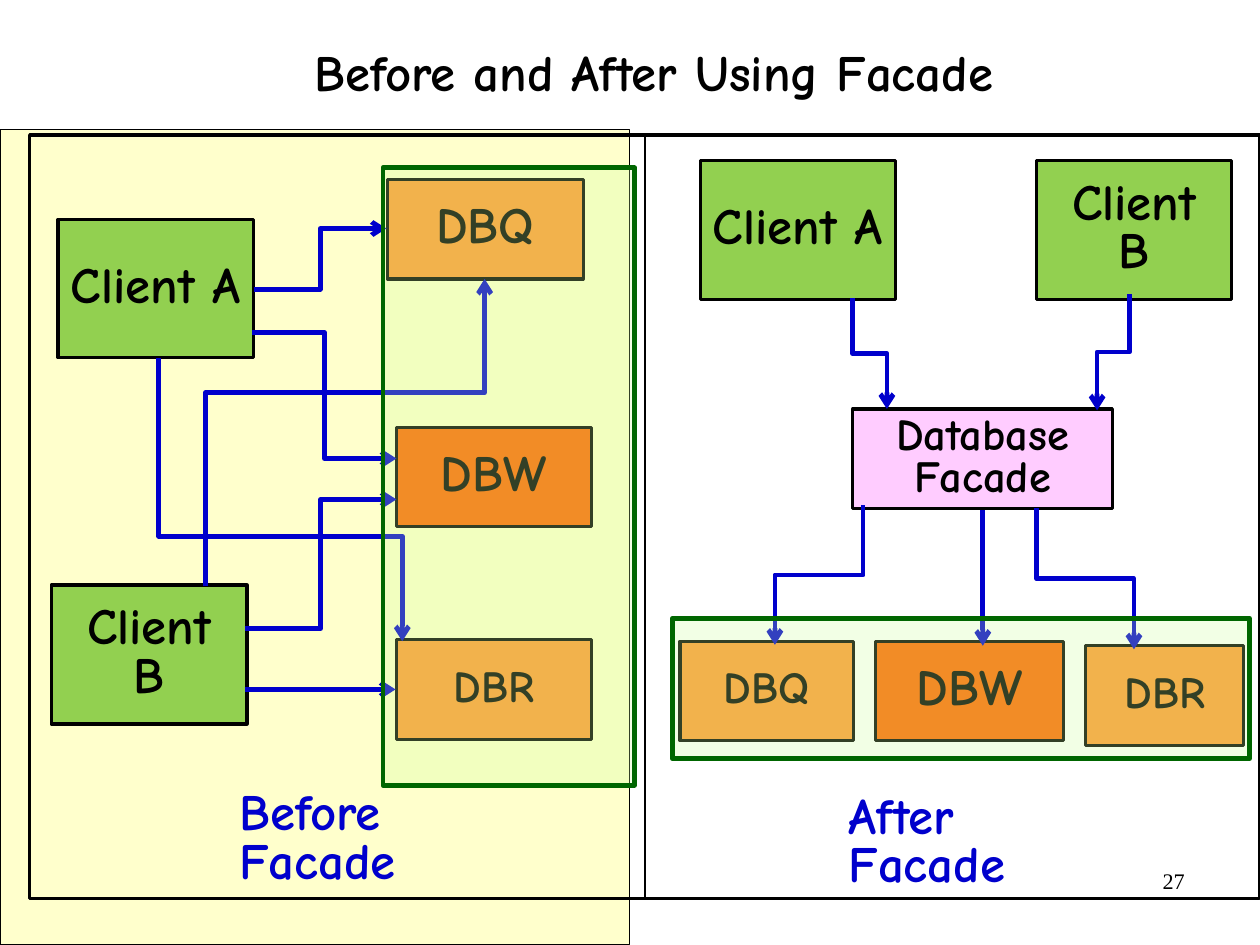
"""Build the slide comparing database clients before and after a facade."""
import pptx
import pptx.dml.color
import pptx.enum.shapes
import pptx.enum.text
import pptx.oxml.ns
import pptx.util
from lxml import etree

Cm = pptx.util.Cm
Pt = pptx.util.Pt
ALIGN = pptx.enum.text.PP_ALIGN
ANCHOR = pptx.enum.text.MSO_ANCHOR
CONNECTOR = pptx.enum.shapes.MSO_CONNECTOR
qn = pptx.oxml.ns.qn

COLORS = {
    "black": "000000", "blue": "0000CC", "cream": "FFFFCC", "client": "92D050",
    "light": "FF9933", "dark": "FF6600", "facade": "FFCCFF",
    "glow": "CCFF99", "edge": "006600",
}

BEFORE_BOXES = [
    ("Client A", (1.29, 4.88, 4.35, 3.07), "client", 32),
    ("Client B", (1.14, 13, 4.35, 3.09), "client", 32),
    ("DBQ", (8.61, 3.99, 4.35, 2.21), "light", 32),
    ("DBW", (8.81, 9.5, 4.33, 2.21), "dark", 32),
    ("DBR", (8.81, 14.22, 4.33, 2.21), "light", 28),
]
AFTER_BOXES = [
    ("Client A", (15.57, 3.56, 4.33, 3.1), "client", 32),
    ("Client B", (23.04, 3.56, 4.33, 3.1), "client", 32),
    ("Database Facade", (18.95, 9.09, 5.77, 2.21), "facade", 28),
    ("DBQ", (15.11, 14.25, 3.86, 2.21), "light", 28),
    ("DBW", (19.46, 14.25, 4.17, 2.21), "dark", 32),
    ("DBR", (24.13, 14.35, 3.51, 2.21), "light", 28),
]
SIDEWAYS_ARROWS = [
    ((5.64, 6.43), (8.59, 5.08)),
    ((5.61, 7.39), (8.81, 10.19)),
    ((5.44, 13.97), (8.81, 11.1)),
]
BEFORE_UPRIGHT_ARROWS = [
    ((3.53, 7.95), (8.94, 14.25), 0.63),
    ((4.57, 13.03), (10.77, 6.2), 0.63),
]
AFTER_UPRIGHT_ARROWS = [
    ((18.95, 6.63), (19.71, 9.09), 0.5),
    ((25.1, 6.53), (24.38, 9.12), 0.5),
    ((19.18, 11.23), (17.22, 14.33), 0.5),
    ((23.04, 11.3), (25.2, 14.43), 0.5),
]


def rgb(name):
    return pptx.dml.color.RGBColor.from_string(COLORS[name])


def write(tf, text, size=32, color="black", font="Comic Neue", bold=True,
          align=ALIGN.LEFT, anchor=ANCHOR.TOP, spacing=0.8):
    tf.word_wrap = True
    tf.vertical_anchor = anchor
    tf.margin_left = tf.margin_right = Cm(0.27)
    tf.margin_top = tf.margin_bottom = Cm(0.14)
    p = tf.paragraphs[0]
    p.alignment = align
    p.line_spacing = spacing
    r = p.add_run()
    r.text = text
    r.font.name = font
    r.font.size = Pt(size)
    r.font.bold = bold
    r.font.color.rgb = rgb(color)


def add_label(s, text, at, **fmt):
    sp = s.shapes.add_textbox(*map(Cm, at))
    write(sp.text_frame, text, **fmt)


def add_rect(s, at, fill=None, line="black", width=2, alpha=None):
    sp = s.shapes.add_shape(pptx.enum.shapes.MSO_SHAPE.RECTANGLE, *map(Cm, at))
    sp.shadow.inherit = False
    sp.line.color.rgb = rgb(line)
    sp.line.width = Pt(width)
    if fill is None:
        sp.fill.background()
    else:
        sp.fill.solid()
        sp.fill.fore_color.rgb = rgb(fill)
    if alpha is not None:
        clr = sp._element.spPr.find(qn("a:solidFill"))[0]
        etree.SubElement(clr, qn("a:alpha"), val=str(alpha * 1000))
    return sp


def add_box(s, text, at, fill, size):
    sp = add_rect(s, at, fill)
    write(sp.text_frame, text, size=size, align=ALIGN.CENTER, anchor=ANCHOR.MIDDLE)


def add_line(s, start, end, color="blue", width=3, kind=CONNECTOR.STRAIGHT, arrow=True):
    c = s.shapes.add_connector(kind, *map(Cm, (*start, *end)))
    c.line.color.rgb = rgb(color)
    c.line.width = Pt(width)
    spPr = c._element.spPr
    if arrow:
        etree.SubElement(spPr.find(qn("a:ln")), qn("a:tailEnd"), type="arrow")
    etree.SubElement(spPr, qn("a:effectLst"))
    return c


def add_upright_elbow(s, start, end, bend):
    """Draw an elbow arrow that leaves and arrives vertically, by turning a sideways one."""
    dx, dy = end[0] - start[0], end[1] - start[1]
    cx, cy = (start[0] + end[0]) / 2, (start[1] + end[1]) / 2
    turn, sign = (270, -1) if dx > 0 and dy > 0 else (90, 1)
    half_w, half_h = sign * dy / 2, sign * dx / 2
    c = add_line(s, (cx - half_w, cy + half_h), (cx + half_w, cy - half_h),
                 kind=CONNECTOR.ELBOW)
    spPr = c._element.spPr
    spPr.find(qn("a:xfrm")).set("rot", str(turn * 60000))
    geom = spPr.find(qn("a:prstGeom"))
    guides = geom.find(qn("a:avLst"))
    if guides is None:
        guides = etree.SubElement(geom, qn("a:avLst"))
    etree.SubElement(guides, qn("a:gd"), name="adj1", fmla=f"val {round(bend * 100000)}")


def add_before(s):
    add_rect(s, (0, 2.88, 14, 18.12), "cream", width=0.75)
    for box in BEFORE_BOXES:
        add_box(s, *box)
    for start, end in SIDEWAYS_ARROWS:
        add_line(s, start, end, kind=CONNECTOR.ELBOW)
    for arrow in BEFORE_UPRIGHT_ARROWS:
        add_upright_elbow(s, *arrow)
    add_line(s, (5.44, 15.32), (8.79, 15.32))
    add_label(s, "Before Facade", (5.05, 17.45, 6.12, 2.44), color="blue")


def add_after(s):
    for box in AFTER_BOXES:
        add_box(s, *box)
    for arrow in AFTER_UPRIGHT_ARROWS:
        add_upright_elbow(s, *arrow)
    add_line(s, (21.84, 11.33), (21.84, 14.35))
    add_label(s, "After Facade", (18.59, 17.53, 6.12, 2.44), color="blue")


def main():
    prs = pptx.Presentation()
    prs.slide_width, prs.slide_height = Cm(28), Cm(21)
    s = prs.slides.add_slide(prs.slide_layouts[6])
    add_label(s, "27", (20.07, 19.13, 6.53, 1.45), size=14, font="Times New Roman",
              bold=False, align=ALIGN.RIGHT, spacing=1.0)
    add_before(s)
    add_rect(s, (0.66, 3, 27.33, 16.97))
    add_line(s, (14.33, 2.97), (14.33, 19.94), color="black", width=1, arrow=False)
    add_after(s)
    add_label(s, "Before and After Using Facade", (3.84, 1.02, 21.39, 1.37),
              align=ALIGN.CENTER)
    for at in ((14.94, 13.74, 12.83, 3.12), (8.51, 3.73, 5.59, 13.72)):
        add_rect(s, at, "glow", line="edge", width=3, alpha=25)
    prs.save("out.pptx")


if __name__ == "__main__":
    main()
